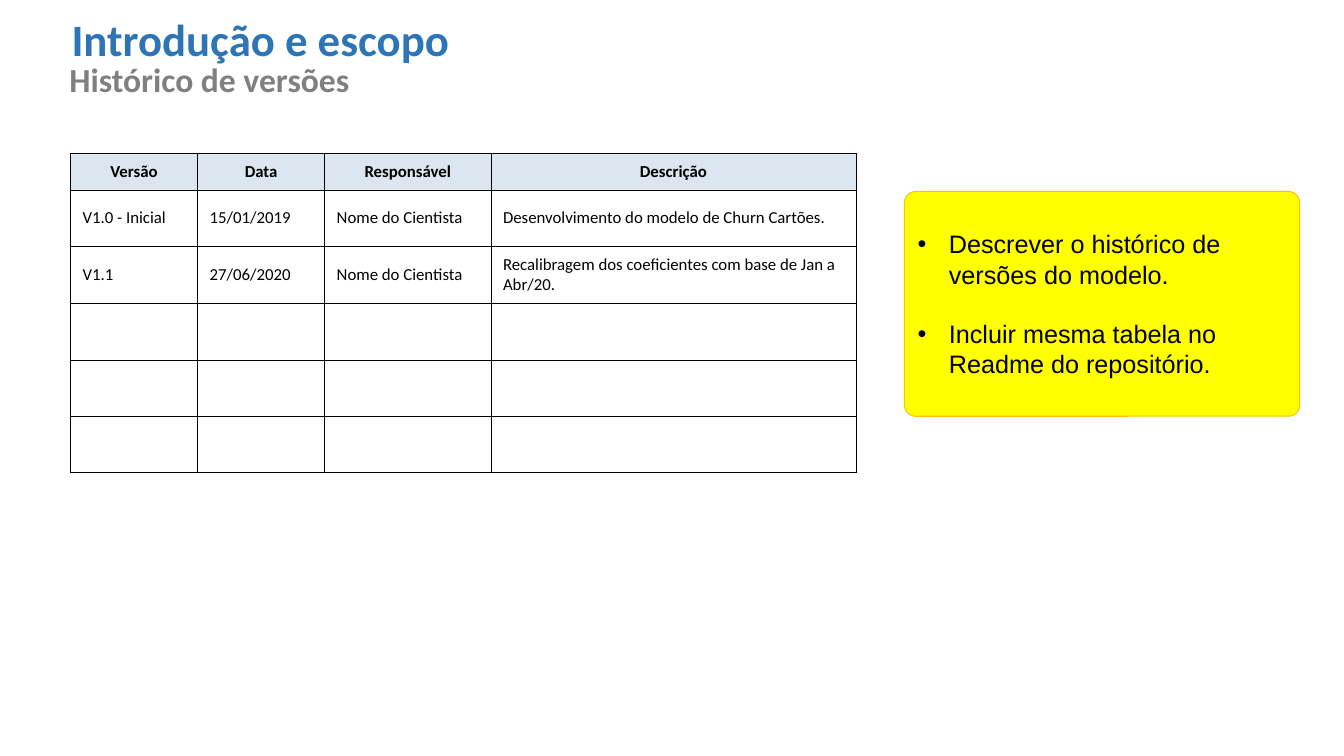
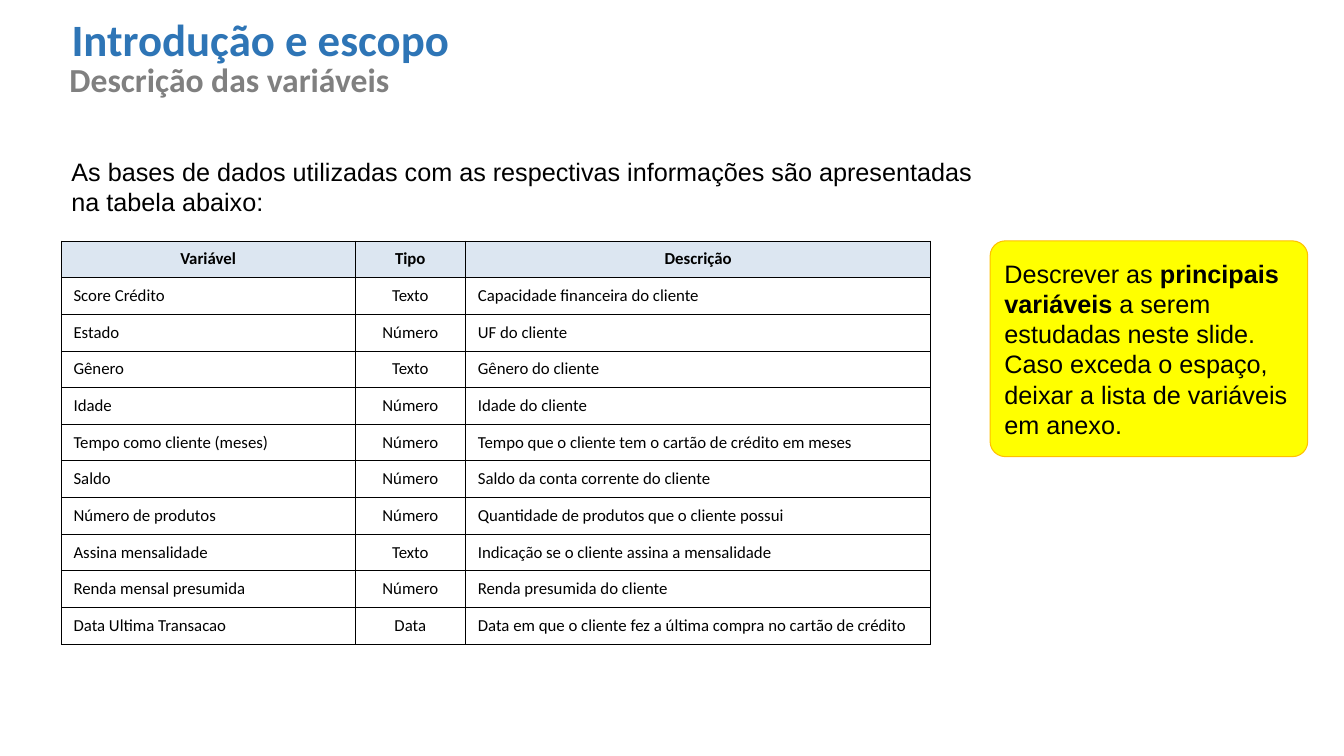
from pptx import Presentation, util as u
from pptx.dml import color
from pptx.enum import shapes, text
from pptx.oxml import parse_xml
from pptx.oxml.ns import nsdecls

# Content
TITLE = "Introdução e escopo"
SUBTITLES = ["Histórico de versões", "Descrição das variáveis"]
VERSIONS = [
    ("Versão", "Data", "Responsável", "Descrição"),
    ("V1.0 - Inicial", "15/01/2019", "Nome do Cientista",
     "Desenvolvimento do modelo de Churn Cartões."),
    ("V1.1", "27/06/2020", "Nome do Cientista",
     "Recalibragem dos coeficientes com base de Jan a Abr/20."),
] + [("",) * 4] * 3
VARIABLES = [
    ("Variável", "Tipo", "Descrição"),
    ("Score Crédito", "Texto", "Capacidade financeira do cliente"),
    ("Estado", "Número", "UF do cliente"),
    ("Gênero", "Texto", "Gênero do cliente"),
    ("Idade", "Número", "Idade do cliente"),
    ("Tempo como cliente (meses)", "Número",
     "Tempo que o cliente tem o cartão de crédito em meses"),
    ("Saldo", "Número", "Saldo da conta corrente do cliente"),
    ("Número de produtos", "Número", "Quantidade de produtos que o cliente possui"),
    ("Assina mensalidade", "Texto", "Indicação se o cliente assina a mensalidade"),
    ("Renda mensal presumida", "Número", "Renda presumida do cliente"),
    ("Data Ultima Transacao", "Data",
     "Data em que o cliente fez a última compra no cartão de crédito"),
]
INTRO = ("As bases de dados utilizadas com as respectivas informações "
         "são apresentadas na tabela abaixo:")
# Each note paragraph is a list of (text, bold) runs
VERSION_NOTE = [[("Descrever o histórico de versões do modelo.", False)],
                [("Incluir mesma tabela no Readme do repositório.", False)]]
VARIABLE_NOTE = [[
    ("Descrever as ", False), ("principais variáveis ", True),
    ("a serem estudadas neste slide. Caso exceda o espaço, "
     "deixar a lista de variáveis em anexo.", False)]]

# Shared style
BLUE, GRAY, BLACK = "2E75B6", "808080", "000000"
HEADER_FILL, NOTE_FILL, NOTE_LINE = "DCE6F1", "FFFF00", "FFC000"
HEADER_HEIGHT = 0.36
LEFT, CENTER = text.PP_ALIGN.LEFT, text.PP_ALIGN.CENTER


def rgb(value):
    return color.RGBColor.from_string(value)


def inches(*lengths):
    return [u.Inches(length) for length in lengths]


def format_paragraph(paragraph, size, font, hue, bold=None, align=LEFT):
    paragraph.alignment = align
    paragraph.font.size = u.Pt(size)
    paragraph.font.name = font
    paragraph.font.color.rgb = rgb(hue)
    paragraph.font.bold = bold


def write_line(shape, box, words, size, font, hue, bold=None, wrap=False):
    shape.left, shape.top, shape.width, shape.height = inches(*box)
    frame = shape.text_frame
    frame.text = words
    frame.word_wrap = wrap
    frame.auto_size = text.MSO_AUTO_SIZE.NONE
    frame.vertical_anchor = text.MSO_ANCHOR.TOP
    format_paragraph(frame.paragraphs[0], size, font, hue, bold)


def add_text(slide, box, *style, **options):
    write_line(slide.shapes.add_textbox(*inches(*box)), box, *style, **options)


def add_page(presentation, subtitle):
    slide = presentation.slides.add_slide(presentation.slide_layouts[5])
    write_line(slide.shapes.title, (0.61, 0.07, 3.98, 0.64), TITLE, 32, "Calibri", BLUE, True)
    add_text(slide, (0.59, 0.54, 3.41, 0.5), subtitle, 24, "Calibri", GRAY, True)
    return slide


def add_borders(cell):
    properties = cell._tc.get_or_add_tcPr()
    for index, side in enumerate(("lnL", "lnR", "lnT", "lnB")):
        properties.insert(index, parse_xml(
            f'<a:{side} {nsdecls("a")} w="6350"><a:solidFill>'
            f'<a:srgbClr val="{BLACK}"/></a:solidFill></a:{side}>'))


def add_grid(slide, left, top, widths, row_height, rows, centered=()):
    heights = [HEADER_HEIGHT] + [row_height] * (len(rows) - 1)
    table = slide.shapes.add_table(
        len(rows), len(widths), *inches(left, top, sum(widths), sum(heights))).table
    table.first_row = table.horz_banding = False
    for column, width in zip(table.columns, widths):
        column.width = u.Inches(width)
    for r, (row, height) in enumerate(zip(rows, heights)):
        table.rows[r].height = u.Inches(height)
        for c, words in enumerate(row):
            cell, header = table.cell(r, c), r == 0
            cell.text = words
            cell.vertical_anchor = text.MSO_ANCHOR.MIDDLE
            cell.margin_left = cell.margin_right = u.Inches(0.12)
            cell.margin_top = cell.margin_bottom = u.Inches(0.08)
            if header:
                cell.fill.solid()
                cell.fill.fore_color.rgb = rgb(HEADER_FILL)
            else:
                cell.fill.background()
            add_borders(cell)
            format_paragraph(cell.text_frame.paragraphs[0], 12, "Calibri", BLACK, header,
                             CENTER if header or c in centered else LEFT)


def add_bullet(paragraph):
    properties = paragraph._p.get_or_add_pPr()
    indent = u.Inches(0.31)
    properties.set("marL", str(indent))
    properties.set("indent", str(-indent))
    for xml in (f'<a:buClr {nsdecls("a")}><a:srgbClr val="{BLACK}"/></a:buClr>',
                f'<a:buFont {nsdecls("a")} typeface="Arial"/>',
                f'<a:buChar {nsdecls("a")} char="•"/>'):
        properties.insert_element_before(parse_xml(xml), "a:tabLst", "a:defRPr", "a:extLst")


def add_note(slide, box, corner, paragraphs, bulleted=False):
    note = slide.shapes.add_shape(shapes.MSO_SHAPE.ROUNDED_RECTANGLE, *inches(*box))
    note.adjustments[0] = corner
    note.shadow.inherit = False
    note.fill.solid()
    note.fill.fore_color.rgb = rgb(NOTE_FILL)
    note.line.color.rgb = rgb(NOTE_LINE)
    note.line.width = u.Pt(0.75)
    frame = note.text_frame
    frame.word_wrap = True
    frame.vertical_anchor = text.MSO_ANCHOR.MIDDLE
    for index, runs in enumerate(paragraphs):
        paragraph = frame.add_paragraph() if index else frame.paragraphs[0]
        for words, bold in runs:
            run = paragraph.add_run()
            run.text = words
            run.font.bold = bold
        format_paragraph(paragraph, 18, "Arial", BLACK)
        if index:
            paragraph.space_before = u.Pt(21)
        if bulleted:
            add_bullet(paragraph)


presentation = Presentation()
presentation.slide_width, presentation.slide_height = inches(13.33, 7.5)

# Version history
slide = add_page(presentation, SUBTITLES[0])
add_grid(slide, 0.7, 1.52, (1.26, 1.26, 1.65, 3.62), 0.56, VERSIONS)
add_note(slide, (8.97, 1.9, 3.92, 2.23), 0.05, VERSION_NOTE, bulleted=True)

# Variable descriptions
slide = add_page(presentation, SUBTITLES[1])
add_text(slide, (0.61, 1.5, 9.21, 0.71), INTRO, 18, "Arial", BLACK, wrap=True)
add_grid(slide, 0.61, 2.39, (2.91, 1.1, 4.61), HEADER_HEIGHT, VARIABLES, centered=(1,))
add_note(slide, (9.82, 2.39, 3.15, 2.14), 0.07, VARIABLE_NOTE)

presentation.save("out.pptx")
